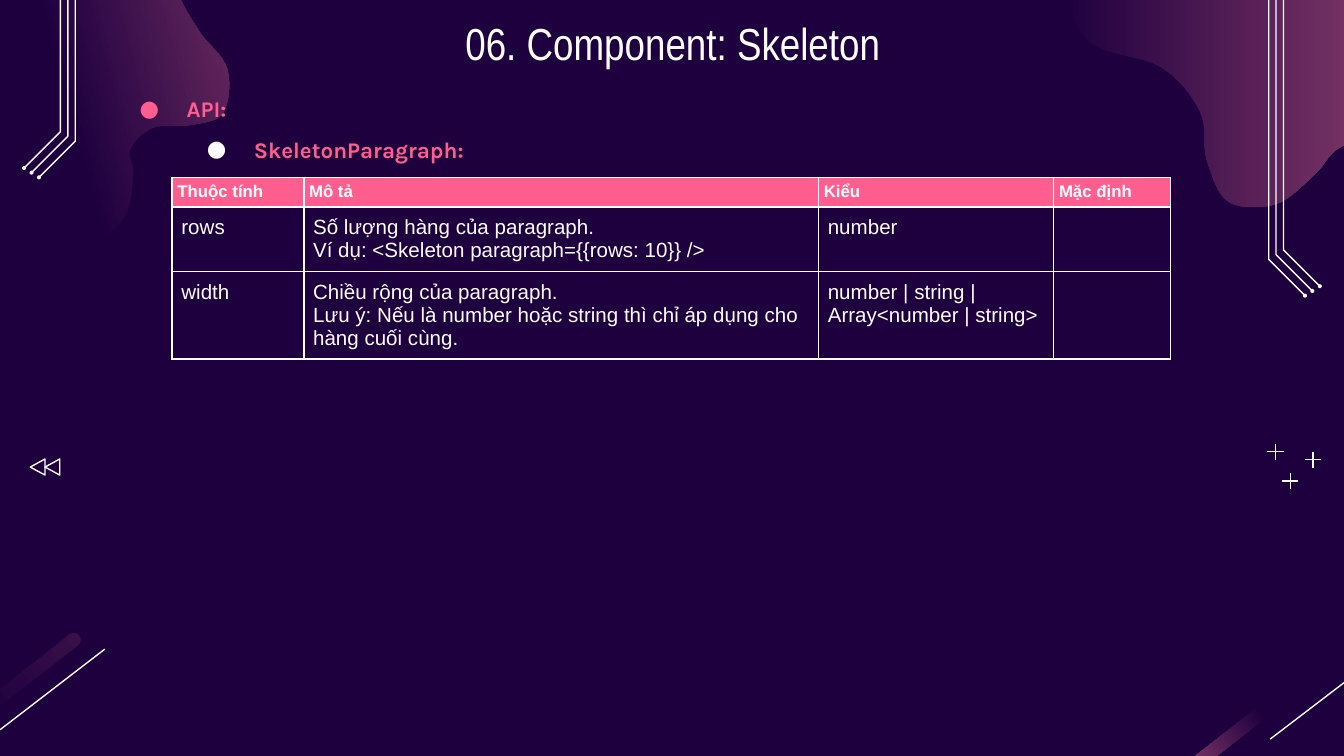
from lxml import etree
from pptx import Presentation
from pptx.dml.color import RGBColor
from pptx.enum.shapes import MSO_CONNECTOR, MSO_SHAPE
from pptx.enum.text import MSO_ANCHOR, MSO_AUTO_SIZE, PP_ALIGN
from pptx.oxml import parse_xml
from pptx.oxml.ns import nsdecls, qn
from pptx.util import Inches, Pt

LINE, ROUND, TRI = MSO_CONNECTOR.STRAIGHT, MSO_SHAPE.ROUNDED_RECTANGLE, MSO_SHAPE.ISOSCELES_TRIANGLE
OVAL = MSO_SHAPE.OVAL
TOP, MIDDLE = MSO_ANCHOR.TOP, MSO_ANCHOR.MIDDLE
CENTER, NO_FIT = PP_ALIGN.CENTER, MSO_AUTO_SIZE.NONE

WIDE = 10
HIGH = WIDE * 9 / 16
HEX = {"night": "1E003F", "mauve": "A64D79", "dusk": "3A1048", "pink": "FF5E8E", "white": "FFFFFF"}
THIN = Pt(0.75)
UNIT = 1000  # outline steps per inch

# Outline points of the two corner blobs, in inches
LEFT_BLOB = [
    (0.48, 1.9), (0.9, 1.65), (0.99, 1.31), (0.97, 1.11), (1.14, 0.95), (1.42, 0.93),
    (1.66, 0.84), (1.69, 0.51), (1.48, 0.23), (1.33, -0.07), (1.43, -0.31), (1.59, -0.39),
    (1.9, -0.41), (2.23, -0.42), (2.52, -0.58), (2.58, -0.87), (2.33, -1.34), (1.67, -1.51),
    (0.7, -0.95), (-0.47, -0.82), (-1.28, -0.61), (-1.74, -0.3), (-1.94, 0.22), (-1.56, 0.8),
    (-0.88, 0.99), (-0.46, 1.06), (-0.13, 1.33), (-0.03, 1.66)]
RIGHT_BLOB = [
    (11.25, 0.38), (11.05, -0.35), (10.58, -0.77), (9.89, -0.84), (9.29, -1.13), (8.97, -1.41),
    (8.52, -1.43), (8.19, -1.29), (7.93, -0.78), (7.89, -0.38), (7.9, -0.18), (8.09, 0.3),
    (8.64, 0.5), (8.93, 0.83), (8.98, 1.19), (9.14, 1.5), (9.49, 1.52), (9.78, 1.3),
    (9.95, 1.11), (10.18, 1.06), (10.52, 1.38), (11.17, 0.88)]

HEAD = ["Thuộc tính", "Mô tả", "Kiểu", "Mặc định"]
ROWS = [
    ["rows", "Số lượng hàng của paragraph.\nVí dụ: <Skeleton paragraph={{rows: 10}} />", "number", ""],
    ["width", "Chiều rộng của paragraph.\nLưu ý: Nếu là number hoặc string thì chỉ áp dụng cho hàng cuối cùng.",
     "number | string | Array<number | string>", ""]]


def rgb(name):
    return RGBColor.from_string(HEX[name])


def style(para, face, size, color, bold=False):
    font = para.font
    font.name, font.size, font.bold = face, Pt(size), bold
    font.color.rgb = rgb(color)


def fade(shape, angle, stops):
    """Fill a shape with two (colour, position) stops and no outline."""
    shape.shadow.inherit = False
    shape.line.fill.background()
    shape.fill.gradient()
    shape.fill.gradient_angle = angle
    for stop, (color, place) in zip(shape.fill.gradient_stops, stops):
        stop.color.rgb, stop.position = rgb(color), place


def stroke(shape):
    shape.line.color.rgb, shape.line.width = rgb("white"), THIN


def rule(slide, x1, y1, x2, y2):
    line = slide.shapes.add_connector(LINE, *map(Inches, (x1, y1, x2, y2)))
    stroke(line)
    etree.SubElement(line._element.spPr, qn("a:effectLst"))


def outline(slide, points, close):
    dots = [(x * UNIT, y * UNIT) for x, y in points]
    pen = slide.shapes.build_freeform(*dots[0], scale=Inches(1) / UNIT)
    pen.add_line_segments(dots[1:], close=close)
    shape = pen.convert_to_shape()
    shape.shadow.inherit = False
    return shape


def smooth(knots, steps=8):
    """Closed Catmull-Rom curve through the knots."""
    curve = []
    for i in range(len(knots)):
        a, b, c, d = (knots[(i + k) % len(knots)] for k in (-1, 0, 1, 2))
        for t in (n / steps for n in range(steps)):
            curve.append(tuple(
                q + t / 2 * (r - p + t * (2 * p - 5 * q + 4 * r - s + t * (3 * (q - r) + s - p)))
                for p, q, r, s in zip(a, b, c, d)))
    return curve


def add_blob(slide, knots, angle, start):
    fade(outline(slide, smooth(knots), True), angle, [("night", start), ("mauve", 1)])


def add_streak(slide, mid, angle, color):
    """Slanted bar centred on mid that fades out halfway."""
    long, thick = 1.85, 0.1
    bar = slide.shapes.add_shape(ROUND, *map(Inches, (mid[0] - long / 2, mid[1] - thick / 2, long, thick)))
    bar.adjustments[0] = 0.5
    bar.rotation = -38
    fade(bar, angle, [("night", 0.5), (color, 1)])


def add_tracks(slide, edge, side, bend):
    """Three bent lines that run down from the top edge, each ending in a dot."""
    for i in range(3):
        x, y = edge + side * (0.56 - 0.055 * i), bend - 0.035 * i
        tip = (x - side * 0.27, y + 0.27)
        track = outline(slide, [(x, 0), (x, y), tip], False)
        track.fill.background()
        stroke(track)
        dot = slide.shapes.add_shape(OVAL, *map(Inches, (tip[0] - 0.015, tip[1] - 0.015, 0.03, 0.03)))
        dot.shadow.inherit = False
        dot.fill.solid()
        dot.fill.fore_color.rgb = rgb("white")
        dot.line.fill.background()


def add_marks(slide):
    # Plus signs
    arm = 0.06
    for x, y in [(9.6, 3.58), (9.77, 3.42), (9.49, 3.36)]:
        rule(slide, x - arm, y, x + arm, y)
        rule(slide, x, y - arm, x, y + arm)
    # Rewind sign
    for i in range(2):
        tri = slide.shapes.add_shape(TRI, *map(Inches, (0.22 + 0.11 * i, 3.42, 0.12, 0.11)))
        tri.rotation = 270
        tri.shadow.inherit = False
        tri.fill.background()
        stroke(tri)


def add_decor(slide):
    add_blob(slide, LEFT_BLOB, 15, 0.5)
    add_blob(slide, RIGHT_BLOB, 0, 0)
    add_streak(slide, (-0.14, 5.3), 0, "dusk")
    add_streak(slide, (9.39, 5.3), 180, "mauve")
    rule(slide, 0.78, 4.83, 0, 5.43)
    rule(slide, WIDE, 5.08, 9.45, 5.5)
    add_tracks(slide, 0, 1, 1.05)
    add_tracks(slide, WIDE, -1, 1.93)
    add_marks(slide)


def set_frame(frame, anchor):
    frame.word_wrap, frame.auto_size, frame.vertical_anchor = True, NO_FIT, anchor
    frame.margin_left = frame.margin_right = frame.margin_top = frame.margin_bottom = Inches(0.1)


def add_title(slide, box, text):
    title = slide.shapes.title
    title.left, title.top, title.width, title.height = map(Inches, box)
    set_frame(title.text_frame, MIDDLE)
    title.text_frame.text = text
    para = title.text_frame.paragraphs[0]
    para.alignment = CENTER
    style(para, "Arial Narrow", 24, "white")


def add_list(slide, box, items):
    frame = slide.shapes.add_textbox(*map(Inches, box)).text_frame
    set_frame(frame, TOP)
    for i, (text, color) in enumerate(items):
        para = frame.add_paragraph() if i else frame.paragraphs[0]
        para.text, para.level, para.line_spacing = text, i, 1.5
        props = para._p.get_or_add_pPr()
        props.set("marL", str(Inches(0.5 * (i + 1))))
        props.set("indent", str(Inches(-0.35)))
        tint = etree.SubElement(props, qn("a:buClr"))
        etree.SubElement(tint, qn("a:srgbClr"), val=HEX[color])
        etree.SubElement(props, qn("a:buFont"), typeface="Karla")
        etree.SubElement(props, qn("a:buChar"), char="●")
        style(para, "Karla", 12, "pink", True)


def set_cell(cell, text, head):
    cell.text = text
    pad = Inches(0.04 if head else 0.07)
    cell.margin_left = cell.margin_right = cell.margin_top = cell.margin_bottom = pad
    for para in cell.text_frame.paragraphs:
        style(para, "Arial", 9 if head else 11, "white", head)
    for side in "LRTB":
        cell._tc.get_or_add_tcPr().append(parse_xml(
            f'<a:ln{side} {nsdecls("a")} w="{Pt(1)}"><a:solidFill>'
            f'<a:srgbClr val="{HEX["white"]}"/></a:solidFill></a:ln{side}>'))
    if head:
        cell.fill.solid()
        cell.fill.fore_color.rgb = rgb("pink")
    else:
        cell.fill.background()


def add_grid(slide, box, cols, rows):
    data = [HEAD] + ROWS
    table = slide.shapes.add_table(len(data), len(HEAD), *map(Inches, box)).table
    for col, width in zip(table.columns, cols):
        col.width = Inches(width)
    for r, height in enumerate(rows):
        table.rows[r].height = Inches(height)
        for c, text in enumerate(data[r]):
            set_cell(table.cell(r, c), text, r == 0)


def main():
    deck = Presentation()
    deck.slide_width, deck.slide_height = Inches(WIDE), Inches(HIGH)
    slide = deck.slides.add_slide(deck.slide_layouts[5])
    slide.background.fill.solid()
    slide.background.fill.fore_color.rgb = rgb("night")
    add_decor(slide)
    add_list(slide, (0.79, 0.51, 8.12, 0.73), [("API:", "pink"), ("SkeletonParagraph:", "white")])
    add_title(slide, (0.79, 0, 8.43, 0.63), "06. Component: Skeleton")
    cols, rows = (0.98, 3.83, 1.75, 0.87), (0.22, 0.48, 0.65)
    add_grid(slide, (1.28, 1.32, sum(cols), sum(rows)), cols, rows)
    deck.save("out.pptx")


if __name__ == "__main__":
    main()
